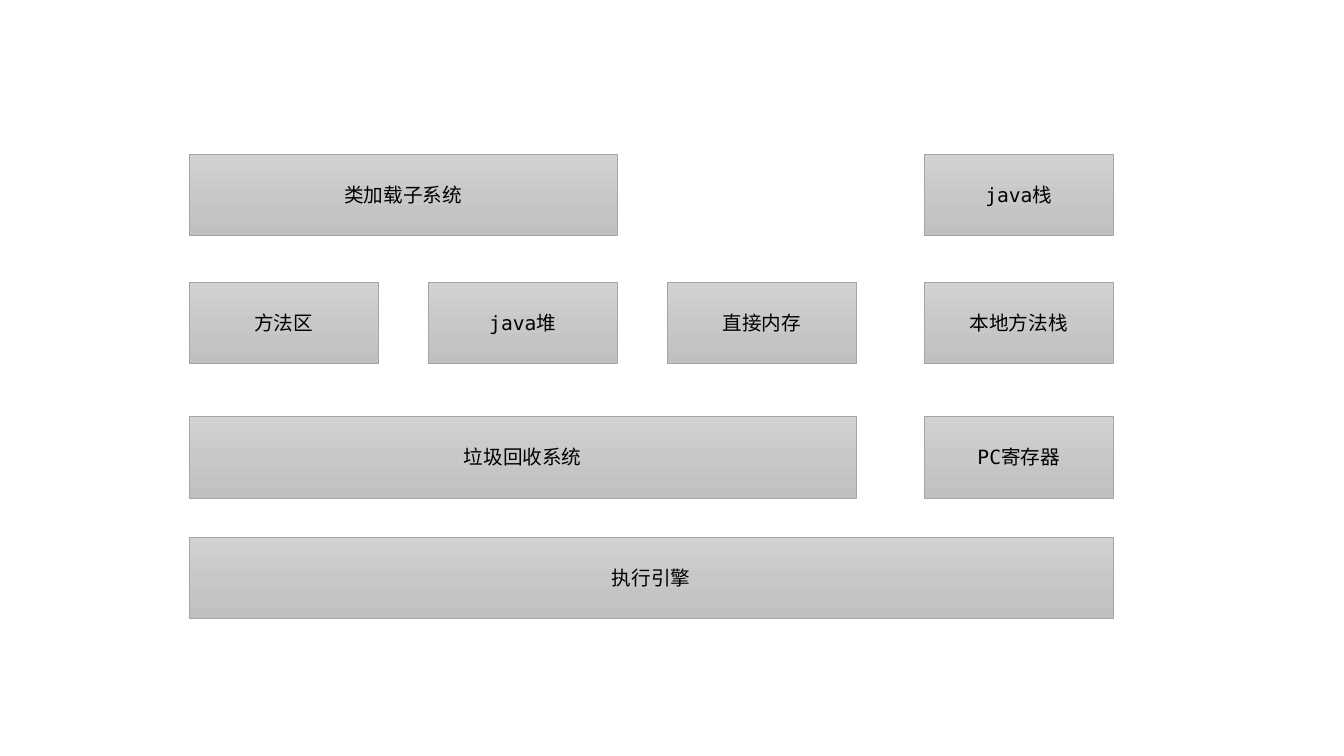
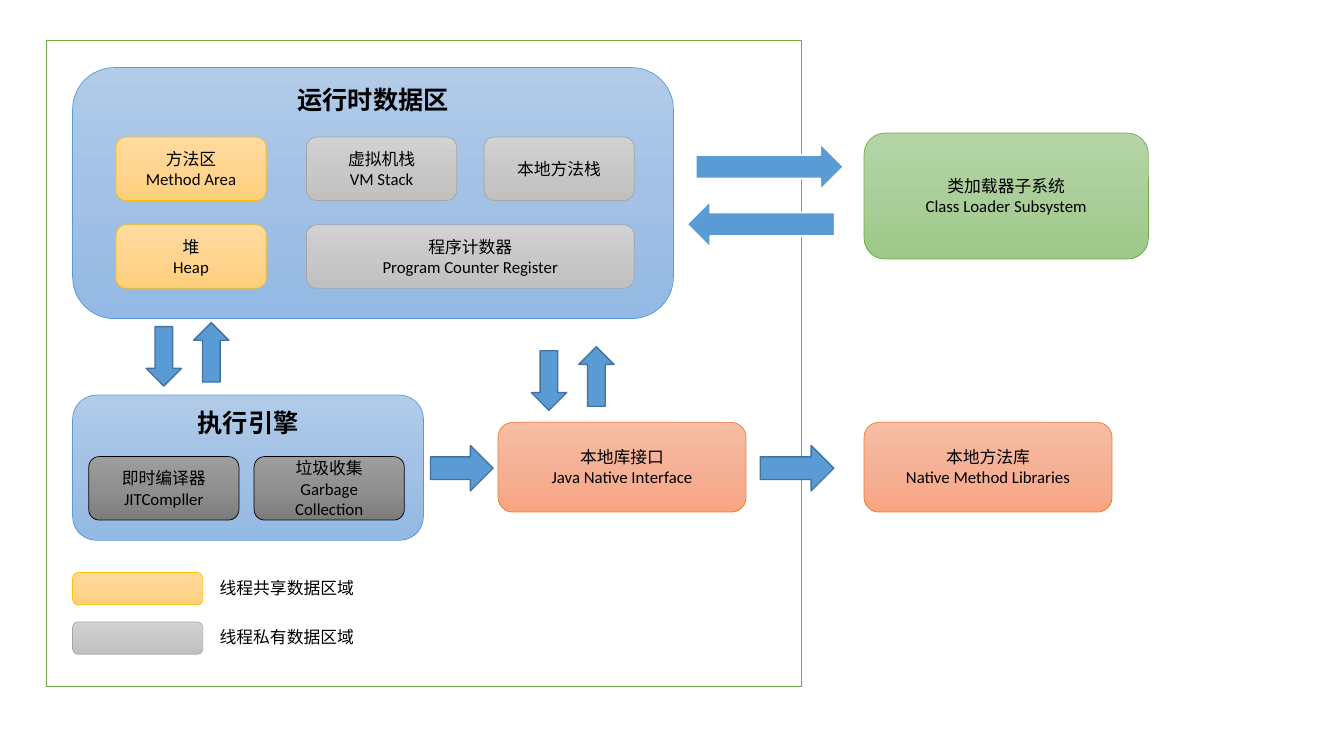
from copy import deepcopy

from pptx import Presentation
from pptx import util as u
from pptx.dml.color import RGBColor
from pptx.enum import shapes, text
from pptx.oxml.ns import qn

# Shared styles: fill (one colour, or three gradient stops), line colour, line width
STYLES = {
    "grey": (("D2D2D2", "C8C8C8", "C0C0C0"), "A5A5A5", 0.5),
    "dark": (("9D9D9D", "909090", "7C7C7C"), "000000", 0.5),
    "blue": (("B1CBE9", "A3C1E5", "93B9E4"), "5B9BD5", 0.5),
    "yellow": (("FFDB9E", "FFD590", "FFD07C"), "FFC000", 0.5),
    "green": (("B5D5A7", "AACE9A", "9CC987"), "70AD47", 0.5),
    "orange": (("F7BDA5", "F5B196", "F8A582"), "ED7D31", 0.5),
    "frame": (("FFFFFF",), "70AD47", 1),
    "arrow": (("5B9BD5",), "43739E", 1),
    "wide arrow": (("5B9BD5",), "FFFFFF", 1.5),
}
MONO = {"name": "DejaVu Sans Mono", "size": u.Pt(14)}
LABEL = {"name": "Calibri", "size": u.Pt(12)}
HEADING = {"name": "Calibri", "size": u.Pt(18), "bold": True}
KIND = shapes.MSO_SHAPE
MIDDLE, TOP = text.MSO_ANCHOR.MIDDLE, text.MSO_ANCHOR.TOP
CENTER, LEFT = text.PP_ALIGN.CENTER, text.PP_ALIGN.LEFT

# Slide 1: label, row, first column, last column
GRID_LEFTS = [1.88 + 2.37 * column for column in range(3)] + [9.17]
GRID_TOPS = (1.53, 2.8, 4.13, 5.33)
CELL_WIDTH, CELL_HEIGHT = 1.87, 0.81
MEMORY_BLOCKS = [
    ("类加载子系统", 0, 0, 1),
    ("方法区", 1, 0, 0),
    ("java堆", 1, 1, 1),
    ("直接内存", 1, 2, 2),
    ("java栈", 0, 3, 3),
    ("本地方法栈", 1, 3, 3),
    ("PC寄存器", 2, 3, 3),
    ("垃圾回收系统", 2, 0, 2),
    ("执行引擎", 3, 0, 3),
]

# Slide 2: columns and rows that several parts share
MARGIN, OUTSIDE = 0.72, 8.57
AREA_LEFTS, AREA_TOPS = (1.15, 3.04, 4.8), (1.36, 2.23)
ENGINE_LEFTS, ENGINE_TOP = (0.88, 2.52), 4.53
NATIVE_TOP, NATIVE_SIZE = 4.19, (2.46, 0.89)
SMALL_WIDTH, SMALL_HEIGHT = 1.49, 0.63
SMALL = (SMALL_WIDTH, SMALL_HEIGHT)
COUNTER = (AREA_LEFTS[2] + SMALL_WIDTH - AREA_LEFTS[1], SMALL_HEIGHT)

# Panels: heading, left, top, width, height
PANELS = [
    ("运行时数据区", MARGIN, 0.67, 5.96, 2.49),
    ("执行引擎", MARGIN, 3.92, 3.48, 1.44),
]
# Boxes: label, style, left, top, size
BOXES = [
    ("方法区\nMethod Area", "yellow", AREA_LEFTS[0], AREA_TOPS[0], SMALL),
    ("堆\nHeap", "yellow", AREA_LEFTS[0], AREA_TOPS[1], SMALL),
    ("虚拟机栈\nVM Stack", "grey", AREA_LEFTS[1], AREA_TOPS[0], SMALL),
    ("本地方法栈", "grey", AREA_LEFTS[2], AREA_TOPS[0], SMALL),
    ("程序计数器\nProgram Counter Register", "grey", AREA_LEFTS[1], AREA_TOPS[1], COUNTER),
    ("类加载器子系统\nClass Loader Subsystem", "green", OUTSIDE, 1.32, (2.82, 1.25)),
    ("即时编译器\nJITCompller", "dark", ENGINE_LEFTS[0], ENGINE_TOP, SMALL),
    ("垃圾收集\nGarbage Collection", "dark", ENGINE_LEFTS[1], ENGINE_TOP, SMALL),
    ("本地库接口\nJava Native Interface", "orange", 4.94, NATIVE_TOP, NATIVE_SIZE),
    ("本地方法库\nNative Method Libraries", "orange", OUTSIDE, NATIVE_TOP, NATIVE_SIZE),
]
# Arrows: kind, style, left, top, width, height
SIDE_ARROWS = [
    (KIND.RIGHT_ARROW, "arrow", 4.27, 4.42, 0.62, 0.45),
    (KIND.RIGHT_ARROW, "arrow", 7.54, 4.42, 0.73, 0.45),
]
# Arrow pairs: the same, then the offset of the arrow that points back
ARROW_PAIRS = [
    (KIND.RIGHT_ARROW, "wide arrow", 6.9, 1.42, 1.47, 0.47, -0.09, 0.57),
    (KIND.DOWN_ARROW, "arrow", 1.45, 3.24, 0.35, 0.59, 0.47, -0.04),
    (KIND.DOWN_ARROW, "arrow", 5.27, 3.48, 0.35, 0.59, 0.47, -0.04),
]
LEGEND = [("yellow", "线程共享数据区域"), ("grey", "线程私有数据区域")]
LEGEND_TOP, LEGEND_STEP = 5.68, 0.49


def color(hex_string):
    return RGBColor.from_string(hex_string)


def write(shape, label, font, anchor=MIDDLE, alignment=CENTER):
    frame = shape.text_frame
    frame.word_wrap = True
    frame.vertical_anchor = anchor
    frame.text = label
    for paragraph in frame.paragraphs:
        paragraph.alignment = alignment
        for run in paragraph.runs:
            for name, value in font.items():
                setattr(run.font, name, value)
            run.font.color.rgb = color("000000")


def paint(shape, fills):
    if len(fills) == 1:
        shape.fill.solid()
        shape.fill.fore_color.rgb = color(fills[0])
        return
    shape.fill.gradient()
    shape.fill.gradient_angle = 270
    stop_list = next(shape._element.iter(qn("a:gsLst")))
    stop_list.append(deepcopy(stop_list[-1]))
    for index, stop in enumerate(shape.fill.gradient_stops):
        stop.position = index / 2
        stop.color.rgb = color(fills[index])


def add_block(slide, kind, style, left, top, width, height):
    shape = slide.shapes.add_shape(kind, *map(u.Inches, (left, top, width, height)))
    fills, line_color, line_width = STYLES[style]
    shape.shadow.inherit = False
    paint(shape, fills)
    shape.line.color.rgb = color(line_color)
    shape.line.width = u.Pt(line_width)
    return shape


presentation = Presentation()
presentation.slide_width, presentation.slide_height = u.Inches(13.33), u.Inches(7.5)
blank = presentation.slide_layouts[6]

# Slide 1: blocks on the grid
slide = presentation.slides.add_slide(blank)
for label, row, first, last in MEMORY_BLOCKS:
    width = GRID_LEFTS[last] + CELL_WIDTH - GRID_LEFTS[first]
    block = add_block(slide, KIND.RECTANGLE, "grey", GRID_LEFTS[first], GRID_TOPS[row],
                      width, CELL_HEIGHT)
    write(block, label, MONO)

# Slide 2: frame, panels and boxes
slide = presentation.slides.add_slide(blank)
add_block(slide, KIND.RECTANGLE, "frame", 0.46, 0.4, 7.49, 6.41)
for label, *place in PANELS:
    panel = add_block(slide, KIND.ROUNDED_RECTANGLE, "blue", *place)
    write(panel, label, HEADING, anchor=TOP)
for label, style, left, top, size in BOXES:
    write(add_block(slide, KIND.ROUNDED_RECTANGLE, style, left, top, *size), label, LABEL)

# Arrows
for arrow in SIDE_ARROWS:
    add_block(slide, *arrow)
for kind, style, left, top, width, height, shift_x, shift_y in ARROW_PAIRS:
    add_block(slide, kind, style, left, top, width, height)
    back = add_block(slide, kind, style, left + shift_x, top + shift_y, width, height)
    back.rotation = 180

# Legend
for index, (style, label) in enumerate(LEGEND):
    top = LEGEND_TOP + index * LEGEND_STEP
    add_block(slide, KIND.ROUNDED_RECTANGLE, style, MARGIN, top, 1.29, 0.32)
    caption = slide.shapes.add_textbox(*map(u.Inches, (2.08, top, 1.58, 0.3)))
    write(caption, label, LABEL, anchor=TOP, alignment=LEFT)

presentation.save("out.pptx")
